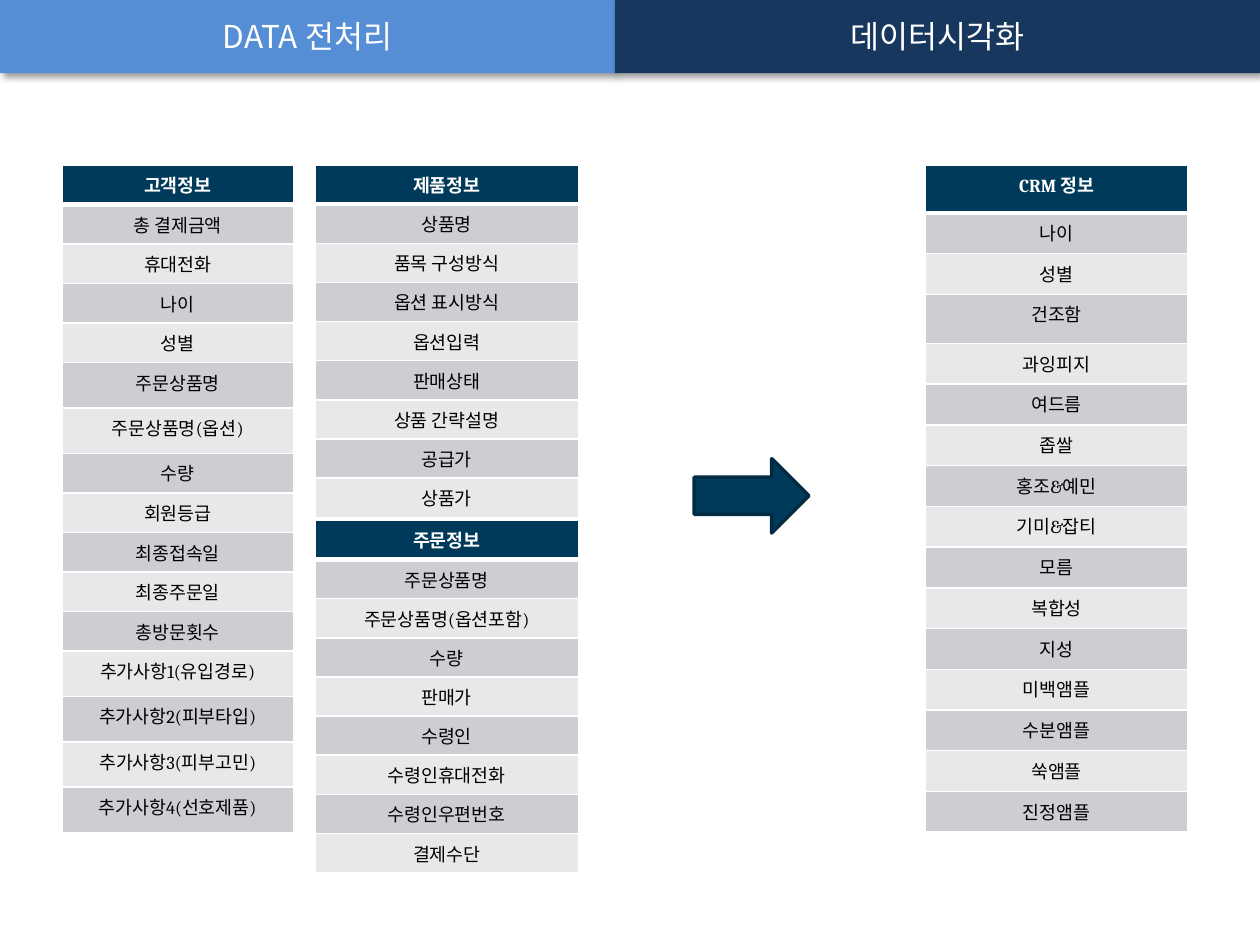
from lxml import etree
from pptx import Presentation
from pptx.dml.color import RGBColor
from pptx.enum.shapes import MSO_SHAPE
from pptx.enum.text import MSO_ANCHOR, PP_ALIGN
from pptx.oxml import parse_xml
from pptx.oxml.ns import nsdecls, qn
from pptx.util import Inches, Pt

RECT, ARROW = MSO_SHAPE.RECTANGLE, MSO_SHAPE.RIGHT_ARROW
CENTER, MIDDLE = PP_ALIGN.CENTER, MSO_ANCHOR.MIDDLE

WHITE = RGBColor(0xFF, 0xFF, 0xFF)
BLACK = RGBColor(0x00, 0x00, 0x00)
BLUE = RGBColor(0x55, 0x8E, 0xD5)
NAVY = RGBColor(0x17, 0x37, 0x5E)
TEAL = RGBColor(0x00, 0x3A, 0x5A)
EDGE = RGBColor(0x00, 0x2B, 0x43)
BANDS = (RGBColor(0xE7, 0xE8, 0xEA), RGBColor(0xCC, 0xCE, 0xD2))

SANS, SERIF = "Noto Sans CJK KR", "Cambria"

# Grid of 100 columns by 75 rows, one tenth of an inch each
COLS, ROWS = 100, 75
TOP, WIDE, TALL = 13.1, 20.9, 53
LOW = 3.1  # row height of the two stacked tables

CLIENT = ["고객정보", "총 결제금액", "휴대전화", "나이", "성별", "주문상품명",
          "주문상품명(옵션)", "수량", "회원등급", "최종접속일", "최종주문일",
          "총방문횟수", "추가사항1(유입경로)", "추가사항2(피부타입)",
          "추가사항3(피부고민)", "추가사항4(선호제품)"]
GOODS = ["제품정보", "상품명", "품목 구성방식", "옵션 표시방식", "옵션입력",
         "판매상태", "상품 간략설명", "공급가", "상품가"]
ORDER = ["주문정보", "주문상품명", "주문상품명(옵션포함)", "수량", "판매가",
         "수령인", "수령인휴대전화", "수령인우편번호", "결제수단"]
CRM = ["CRM 정보", "나이", "성별", "건조함", "과잉피지", "여드름", "좁쌀",
       "홍조&예민", "기미&잡티", "모름", "복합성", "지성", "미백앰플",
       "수분앰플", "쑥앰플", "진정앰플"]


def grid(*units):
    return [Inches(u / 10) for u in units]


def write(frame, text, size=10.5, font=SERIF, color=BLACK, bold=False):
    para = frame.paragraphs[0]
    para.alignment = CENTER
    run = para.add_run()
    run.text = text
    run.font.size, run.font.name, run.font.bold = Pt(size), font, bold
    run.font.color.rgb = color
    east = etree.SubElement(run.font._element, qn("a:ea"))
    east.set("typeface", SANS)


def shape(slide, kind, box, fill):
    item = slide.shapes.add_shape(kind, *grid(*box))
    item.shadow.inherit = False
    item.fill.solid()
    item.fill.fore_color.rgb = fill
    item.line.fill.background()
    return item


def banner(slide, text, left, width, fill):
    item = shape(slide, RECT, (left, -0.1, width, 5.9), fill)
    item.text_frame.vertical_anchor = MIDDLE
    write(item.text_frame, text, size=18, font=SANS, color=WHITE)
    # Soft shadow to the lower right
    item._element.spPr.find(qn("a:effectLst")).append(parse_xml(
        f'<a:outerShdw {nsdecls("a")} blurRad="{Pt(4)}" dist="{Pt(3)}" '
        'dir="2700000" algn="tl" rotWithShape="0"><a:srgbClr val="000000">'
        '<a:alpha val="40000"/></a:srgbClr></a:outerShdw>'))


def border(cell, **widths):
    props = cell._tc.get_or_add_tcPr()
    for side in "LRTB":
        props.append(parse_xml(
            f'<a:ln{side} {nsdecls("a")} w="{Pt(widths.get(side, 1))}">'
            f'<a:solidFill><a:srgbClr val="{WHITE}"/></a:solidFill>'
            f'</a:ln{side}>'))


def table(slide, names, left, top, width, height, special=None):
    """Rows in special have their own height; the others share the rest."""
    special = special or {}
    count = len(names)
    plain = (height - sum(special.values())) / (count - len(special))
    grown = slide.shapes.add_table(
        count, 1, *grid(left, top, width, height)).table
    for i, name in enumerate(names):
        grown.rows[i].height = grid(special.get(i, plain))[0]
        cell, head = grown.cell(i, 0), i == 0
        border(cell, B=3 if head else 1, T=3 if i == 1 else 1)
        cell.fill.solid()
        cell.fill.fore_color.rgb = TEAL if head else BANDS[i % 2]
        write(cell.text_frame, name, color=WHITE if head else BLACK, bold=head)


def main():
    deck = Presentation()
    deck.slide_width, deck.slide_height = grid(COLS, ROWS)
    slide = deck.slides.add_slide(deck.slide_layouts[6])

    # Title banners
    split = 48.8
    banner(slide, "DATA 전처리", 0, split, BLUE)
    banner(slide, "데이터시각화", split, COLS - split, NAVY)

    # Source tables
    table(slide, CLIENT, 4.9, TOP, 18.4, TALL,
          dict.fromkeys((5, 6, 12, 13, 14, 15), 3.6))
    table(slide, GOODS, 25, TOP, WIDE, LOW * len(GOODS))
    table(slide, ORDER, 25, 41.3, WIDE, LOW * len(ORDER))

    # Arrow to the result
    arrow = shape(slide, ARROW, (55.1, 36.4, 9.1, 5.9), TEAL)
    arrow.line.color.rgb = EDGE
    arrow.line.width = Pt(2)

    # Result table
    table(slide, CRM, 73.4, TOP, WIDE, TALL, {0: 3.8, 3: 3.9})

    deck.save("out.pptx")


if __name__ == "__main__":
    main()
